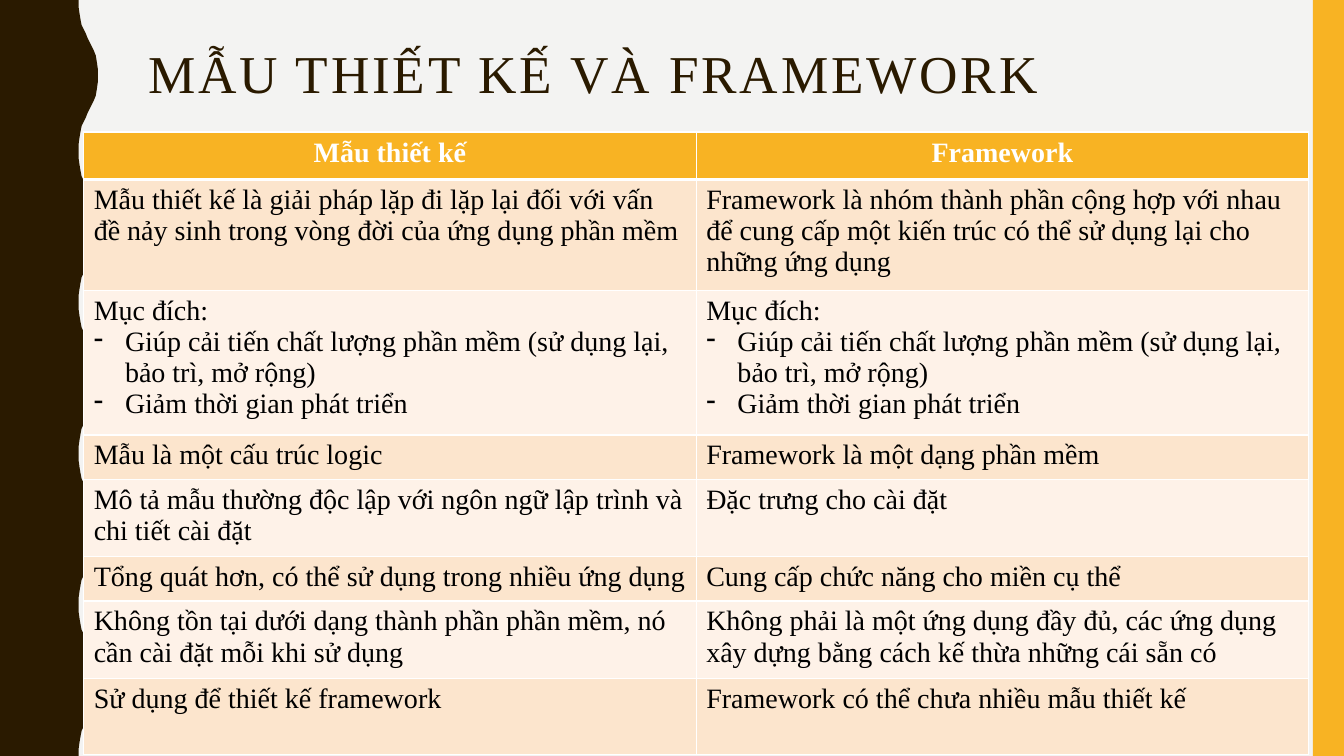
import pptx
import pptx.dml.color
import pptx.enum.text
import pptx.oxml
import pptx.oxml.ns
import pptx.util
import lxml.etree

Inches = pptx.util.Inches
FONT = "Times New Roman"
DARK, GOLD, WHITE, BLACK = "2A1A00", "F8B323", "FFFFFF", "000000"
BACKGROUND = "F3F3F2"
BANDS = ("FCE5CD", "FEF2E8")

WAVE_PERIOD = 1.5
HALF_WAVE = [
    (0.78, 0), (0.78, 0.07), (0.79, 0.14), (0.8, 0.2), (0.81, 0.25),
    (0.83, 0.29), (0.85, 0.33), (0.87, 0.38), (0.89, 0.42), (0.91, 0.46),
    (0.93, 0.5), (0.95, 0.55), (0.96, 0.61), (0.97, 0.68), (0.97, 0.75),
]

PURPOSE = [
    "Mục đích:",
    "- Giúp cải tiến chất lượng phần mềm (sử dụng lại, bảo trì, mở rộng)",
    "- Giảm thời gian phát triển",
]
ROWS = [
    (0.47, ["Mẫu thiết kế"], ["Framework"]),
    (1.08,
     ["Mẫu thiết kế là giải pháp lặp đi lặp lại đối với vấn đề nảy sinh "
      "trong vòng đời của ứng dụng phần mềm"],
     ["Framework là nhóm thành phần cộng hợp với nhau để cung cấp một kiến trúc "
      "có thể sử dụng lại cho những ứng dụng"]),
    (1.41, PURPOSE, PURPOSE),
    (0.44, ["Mẫu là một cấu trúc logic"], ["Framework là một dạng phần mềm"]),
    (0.76,
     ["Mô tả mẫu thường độc lập với ngôn ngữ lập trình và chi tiết cài đặt"],
     ["Đặc trưng cho cài đặt"]),
    (0.44,
     ["Tổng quát hơn, có thể sử dụng trong nhiều ứng dụng"],
     ["Cung cấp chức năng cho miền cụ thể"]),
    (0.76,
     ["Không tồn tại dưới dạng thành phần phần mềm, nó cần cài đặt mỗi khi sử dụng"],
     ["Không phải là một ứng dụng đầy đủ, các ứng dụng xây dựng bằng cách "
      "kế thừa những cái sẵn có"]),
    (0.76,
     ["Sử dụng để thiết kế framework"],
     ["Framework có thể chưa nhiều mẫu thiết kế"]),
]


def set_color(fill, color):
    fill.solid()
    fill.fore_color.rgb = pptx.dml.color.RGBColor.from_string(color)


def format_run(run, size, color, bold=False):
    run.font.name = FONT
    run.font.size = pptx.util.Pt(size)
    run.font.bold = bold
    set_color(run.font.fill, color)


def finish_shape(shape, color):
    set_color(shape.fill, color)
    shape.line.fill.background()
    shape.shadow.inherit = False


def add_wavy_band(slide, left, top, height):
    mirrored = [(x, WAVE_PERIOD - y) for x, y in reversed(HALF_WAVE[1:-1])]
    wave = HALF_WAVE + mirrored
    edge = [
        (Inches(left + x), Inches(top + period * WAVE_PERIOD + y))
        for period in range(round(height / WAVE_PERIOD))
        for x, y in wave
    ]
    edge.append((Inches(left + HALF_WAVE[0][0]), Inches(top + height)))
    edge.append((Inches(left), Inches(top + height)))
    builder = slide.shapes.build_freeform(Inches(left), Inches(top))
    builder.add_line_segments(edge, close=True)
    finish_shape(builder.convert_to_shape(), DARK)


def add_side_bar(slide, left, top, width, height):
    bar = slide.shapes.add_shape(
        pptx.enum.shapes.MSO_SHAPE.RECTANGLE,
        Inches(left), Inches(top), Inches(width), Inches(height))
    finish_shape(bar, GOLD)


def add_title(slide, left, top, width, height):
    title = slide.shapes.add_textbox(
        Inches(left), Inches(top), Inches(width), Inches(height))
    frame = title.text_frame
    frame.word_wrap = True
    frame.vertical_anchor = pptx.enum.text.MSO_ANCHOR.TOP
    frame.text = "MẪU THIẾT KẾ VÀ FRAMEWORK"
    paragraph = frame.paragraphs[0]
    paragraph.line_spacing = 0.9
    run = paragraph.runs[0]
    format_run(run, 38, DARK)
    run._r.get_or_add_rPr().set("spc", "200")


def set_borders(cell, top, bottom):
    properties = cell._tc.get_or_add_tcPr()
    for side, points in (("L", 1), ("R", 1), ("T", top), ("B", bottom)):
        line = lxml.etree.SubElement(properties, pptx.oxml.ns.qn(f"a:ln{side}"))
        line.set("w", str(pptx.util.Pt(points)))
        fill = lxml.etree.SubElement(line, pptx.oxml.ns.qn("a:solidFill"))
        color = lxml.etree.SubElement(fill, pptx.oxml.ns.qn("a:srgbClr"))
        color.set("val", WHITE)


def add_dash(paragraph):
    properties = paragraph._p.get_or_add_pPr()
    properties.set("marL", str(Inches(0.31)))
    properties.set("indent", str(Inches(-0.31)))
    bullet = lxml.etree.SubElement(properties, pptx.oxml.ns.qn("a:buChar"))
    bullet.set("char", "-")


def fill_cell(cell, lines, row):
    header = row == 0
    set_borders(cell, 3 if row == 1 else 1, 3 if header else 1)
    set_color(cell.fill, GOLD if header else BANDS[(row - 1) % 2])
    cell.text_frame.text = "\n".join(line.removeprefix("- ") for line in lines)
    for line, paragraph in zip(lines, cell.text_frame.paragraphs):
        if header:
            paragraph.alignment = pptx.enum.text.PP_ALIGN.CENTER
        if line.startswith("- "):
            add_dash(paragraph)
        format_run(paragraph.runs[0], 20, WHITE if header else BLACK, header)


def add_comparison_table(slide, left, top, width):
    height = sum(row[0] for row in ROWS)
    table = slide.shapes.add_table(
        len(ROWS), 2, Inches(left), Inches(top), Inches(width), Inches(height)).table
    for row, (row_height, *texts) in enumerate(ROWS):
        table.rows[row].height = Inches(row_height)
        for column, lines in enumerate(texts):
            fill_cell(table.cell(row, column), lines, row)


def main():
    presentation = pptx.Presentation()
    presentation.slide_width = Inches(13.33)
    presentation.slide_height = Inches(7.5)
    slide = presentation.slides.add_slide(presentation.slide_layouts[6])
    set_color(slide.background.fill, BACKGROUND)
    add_wavy_band(slide, 0, 0, 7.5)
    add_side_bar(slide, 13.02, 0, 0.31, 7.5)
    add_title(slide, 1.37, 0.42, 11.13, 1.07)
    add_comparison_table(slide, 0.83, 1.31, 12.15)
    presentation.save("out.pptx")


if __name__ == "__main__":
    main()
